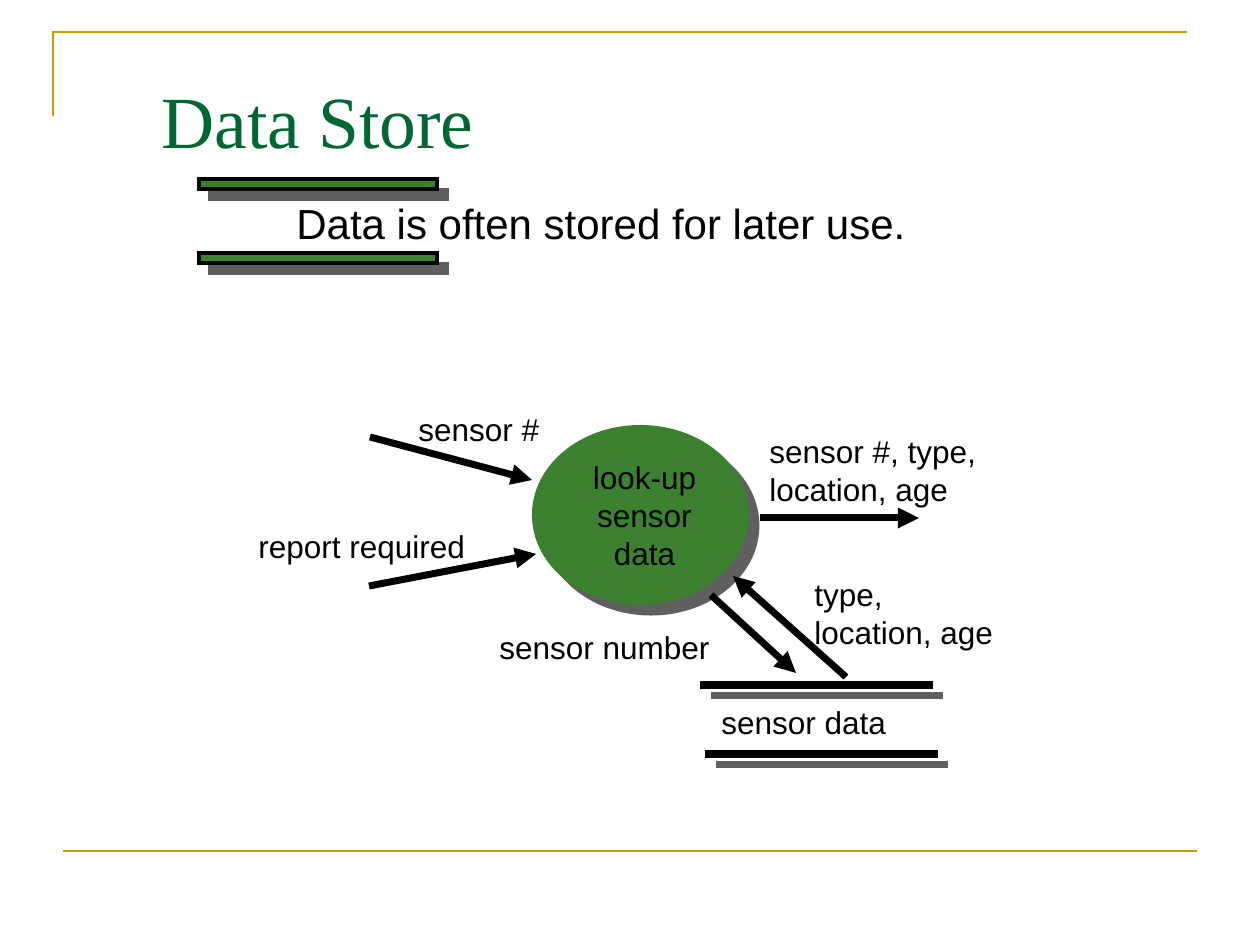
from dataclasses import dataclass

from lxml.etree import SubElement
from pptx import Presentation
from pptx.dml.color import RGBColor
from pptx.enum.shapes import MSO_CONNECTOR as Conn, MSO_SHAPE as Shape
from pptx.enum.text import MSO_ANCHOR as Anchor, MSO_AUTO_SIZE as Fit, PP_ALIGN as Align
from pptx.oxml.ns import qn
from pptx.util import Emu, Pt

EMU_PER_PX = 914400 / 126


@dataclass(frozen=True)
class Theme:
    gold: str = "CC9900"
    title: str = "006633"
    ink: str = "000000"
    green: str = "3B812F"
    shadow: str = "5F5F5F"
    title_font: str = "Times New Roman"
    body_font: str = "Arial"
    title_size: int = 42
    lead_size: int = 24
    label_size: int = 18
    rule_width: float = 1.5
    bar_width: int = 2
    arrow_width: int = 4


T = Theme()


@dataclass(frozen=True)
class Box:
    x: int
    y: int
    w: int
    h: int


@dataclass(frozen=True)
class Label:
    box: Box
    lines: tuple[str, ...]
    size: int = T.label_size
    font: str = T.body_font
    color: str = T.ink
    align: Align = Align.LEFT
    anchor: Anchor = Anchor.TOP
    wrap: bool = False


@dataclass(frozen=True)
class Arrow:
    start: tuple[int, int]
    end: tuple[int, int]


TITLE = Label(Box(149, 60, 987, 118), ("Data Store",), T.title_size,
              T.title_font, T.title, anchor=Anchor.MIDDLE, wrap=True)

STORE_BARS = [
    Box(199, 179, 238, 10), Box(199, 253, 238, 10),
    Box(702, 683, 229, 4), Box(707, 752, 229, 4),
]

PROCESS = Box(532, 425, 217, 180)

ARROWS = [
    Arrow((370, 437), (532, 480)),
    Arrow((369, 586), (536, 554)),
    Arrow((760, 518), (919, 518)),
    Arrow((711, 595), (796, 673)),
    Arrow((846, 677), (733, 576)),
]

# Boxes are a little wider than their text, so that no line breaks
LABELS = [
    Label(Box(284, 191, 642, 63), ("Data is often stored for later use.",), T.lead_size),
    Label(Box(576, 452, 137, 164), ("look-up", "sensor", "data"), align=Align.CENTER),
    Label(Box(406, 404, 154, 50), ("sensor #",)),
    Label(Box(246, 521, 240, 50), ("report required",)),
    Label(Box(757, 426, 249, 88), ("sensor #, type,", "location, age")),
    Label(Box(709, 697, 197, 50), ("sensor data",)),
    Label(Box(487, 622, 244, 50), ("sensor number",)),
    Label(Box(802, 569, 212, 88), ("type,", "location, age")),
]


def px(n: int) -> Emu:
    return Emu(round(n * EMU_PER_PX))


def place(box: Box) -> tuple[Emu, ...]:
    return px(box.x), px(box.y), px(box.w), px(box.h)


def rgb(color: str) -> RGBColor:
    return RGBColor.from_string(color)


def set_line(sp, color: str, width: float) -> None:
    """Solid line with square corners."""
    sp.line.color.rgb = rgb(color)
    sp.line.width = Pt(width)
    SubElement(sp.line._get_or_add_ln(), qn("a:miter"), lim="800000")


def add_label(s, label: Label) -> None:
    tf = s.shapes.add_textbox(*place(label.box)).text_frame
    frame = {"word_wrap": label.wrap, "vertical_anchor": label.anchor,
             "auto_size": Fit.NONE}
    for name, value in frame.items():
        setattr(tf, name, value)
    for i, line in enumerate(label.lines):
        p = tf.add_paragraph() if i else tf.paragraphs[0]
        p.alignment = label.align
        r = p.add_run()
        r.text = line
        for name, value in {"name": label.font, "size": Pt(label.size)}.items():
            setattr(r.font, name, value)
        r.font.color.rgb = rgb(label.color)


def add_solid(s, kind: Shape, box: Box, outlined: bool) -> None:
    """Green shape with a hard shadow to the lower right."""
    sp = s.shapes.add_shape(kind, *place(box))
    sp.fill.solid()
    sp.fill.fore_color.rgb = rgb(T.green)
    if outlined:
        set_line(sp, T.ink, T.bar_width)
    else:
        sp.line.fill.background()
    sp.shadow.inherit = False
    effects = sp._element.spPr.find(qn("a:effectLst"))
    shadow = SubElement(effects, qn("a:outerShdw"), dist=str(Pt(8.5)),
                        dir=str(45 * 60000), algn="ctr", rotWithShape="0")
    SubElement(shadow, qn("a:srgbClr"), val=T.shadow)


def add_line(s, start: tuple[int, int], end: tuple[int, int],
             color: str, width: float, arrow: bool = False) -> None:
    sp = s.shapes.add_connector(Conn.STRAIGHT, *map(px, start + end))
    set_line(sp, color, width)
    if arrow:
        SubElement(sp.line._get_or_add_ln(), qn("a:tailEnd"), type="triangle")
    SubElement(sp._element.spPr, qn("a:effectLst"))


def add_frame(s) -> None:
    """Gold corner at the top left and rule at the bottom."""
    corner = s.shapes.build_freeform(53, 116, scale=EMU_PER_PX)
    corner.add_line_segments([(53, 32), (1187, 32)], close=False)
    sp = corner.convert_to_shape()
    sp.fill.background()
    sp.shadow.inherit = False
    set_line(sp, T.gold, T.rule_width)
    add_line(s, (63, 851), (1197, 851), T.gold, T.rule_width)


def main() -> None:
    prs = Presentation()
    prs.slide_width, prs.slide_height = px(1260), px(945)
    s = prs.slides.add_slide(prs.slide_layouts[6])

    # Frame and title
    add_frame(s)
    add_label(s, TITLE)

    # Data stores and process
    for bar in STORE_BARS:
        add_solid(s, Shape.RECTANGLE, bar, outlined=True)
    add_solid(s, Shape.OVAL, PROCESS, outlined=False)

    # Data flows and their labels
    for arrow in ARROWS:
        add_line(s, arrow.start, arrow.end, T.ink, T.arrow_width, arrow=True)
    for label in LABELS:
        add_label(s, label)

    prs.save("out.pptx")


if __name__ == "__main__":
    main()
